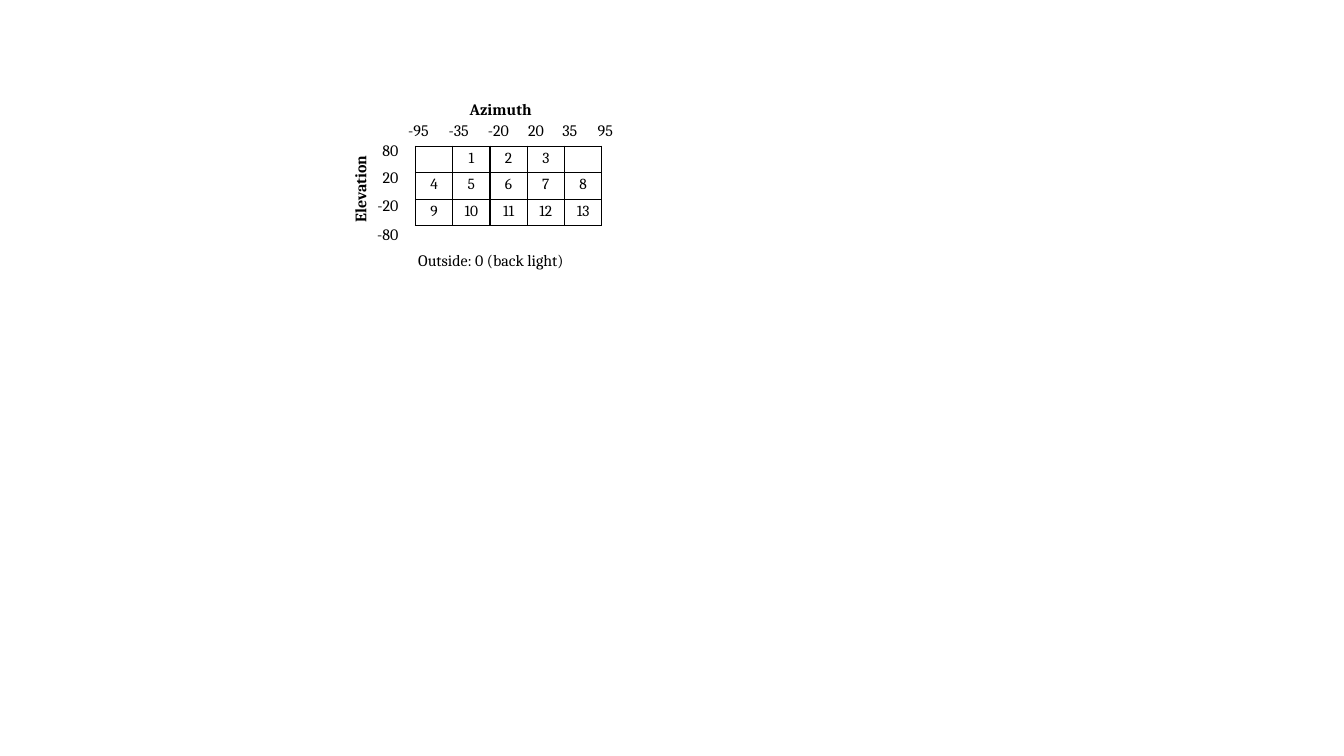
from lxml import etree
from pptx import Presentation
from pptx import util as u
from pptx.dml import color
from pptx.enum import text
from pptx.oxml import ns

PX = 9144
BLACK = "000000"
FONT = "Cambria"


def style_run(run, size, bold=False):
    run.font.name = FONT
    run.font.size = u.Pt(size)
    run.font.bold = bold
    run.font.color.rgb = color.RGBColor.from_string(BLACK)


def add_label(words, left, top, width, align=text.PP_ALIGN.LEFT, bold=False):
    label = slide.shapes.add_textbox(left * PX, top * PX, width * PX, 29 * PX)
    label.text_frame.word_wrap = False
    label.text_frame.auto_size = text.MSO_AUTO_SIZE.SHAPE_TO_FIT_TEXT
    label.text_frame.text = words
    paragraph = label.text_frame.paragraphs[0]
    paragraph.alignment = align
    style_run(paragraph.runs[0], 11.4, bold)
    return label


deck = Presentation()
deck.slide_width = 1333 * PX
deck.slide_height = 750 * PX
slide = deck.slides.add_slide(deck.slide_layouts[6])

azimuths = [("-95", 395, 41), ("-35", 435, 41), ("-20", 474, 41),
            ("20", 514, 36), ("35", 548, 36), ("95", 583, 36)]
for degrees, left, width in azimuths:
    add_label(degrees, left, 115, width)

elevations = [("80", 134, 36), ("20", 161, 36), ("-20", 189, 41), ("-80", 218, 41)]
for degrees, top, width in elevations:
    add_label(degrees, 405 - width, top, width, text.PP_ALIGN.RIGHT)

add_label("Outside: 0 (back light)", 405, 244, 177)

regions = [["", "1", "2", "3", ""],
           ["4", "5", "6", "7", "8"],
           ["9", "10", "11", "12", "13"]]
grid = slide.shapes.add_table(3, 5, 412 * PX, 145 * PX, 185 * PX, 79 * PX).table
grid.first_row = False
grid.horz_banding = False
for column in grid.columns:
    column.width = 37 * PX
for row in grid.rows:
    row.height = 79 * PX // 3

for row, numbers in zip(grid.rows, regions):
    for cell, number in zip(row.cells, numbers):
        cell.margin_left = cell.margin_right = 6 * PX
        cell.margin_top = cell.margin_bottom = 3 * PX
        cell.text_frame.text = number
        paragraph = cell.text_frame.paragraphs[0]
        paragraph.alignment = text.PP_ALIGN.CENTER
        for run in paragraph.runs:
            style_run(run, 11)
        if not number:
            etree.SubElement(paragraph._p, ns.qn("a:endParaRPr"), sz="1100")
        properties = cell._tc.get_or_add_tcPr()
        for side in ("a:lnL", "a:lnR", "a:lnT", "a:lnB"):
            border = etree.SubElement(properties, ns.qn(side), w=str(u.Pt(1)))
            ink = etree.SubElement(border, ns.qn("a:solidFill"))
            etree.SubElement(ink, ns.qn("a:srgbClr"), val=BLACK)
        cell.fill.background()

add_label("Azimuth", 456, 94, 85, bold=True)
elevation_title = add_label("Elevation", 312, 171, 90, bold=True)
elevation_title.rotation = 270

deck.save("out.pptx")
